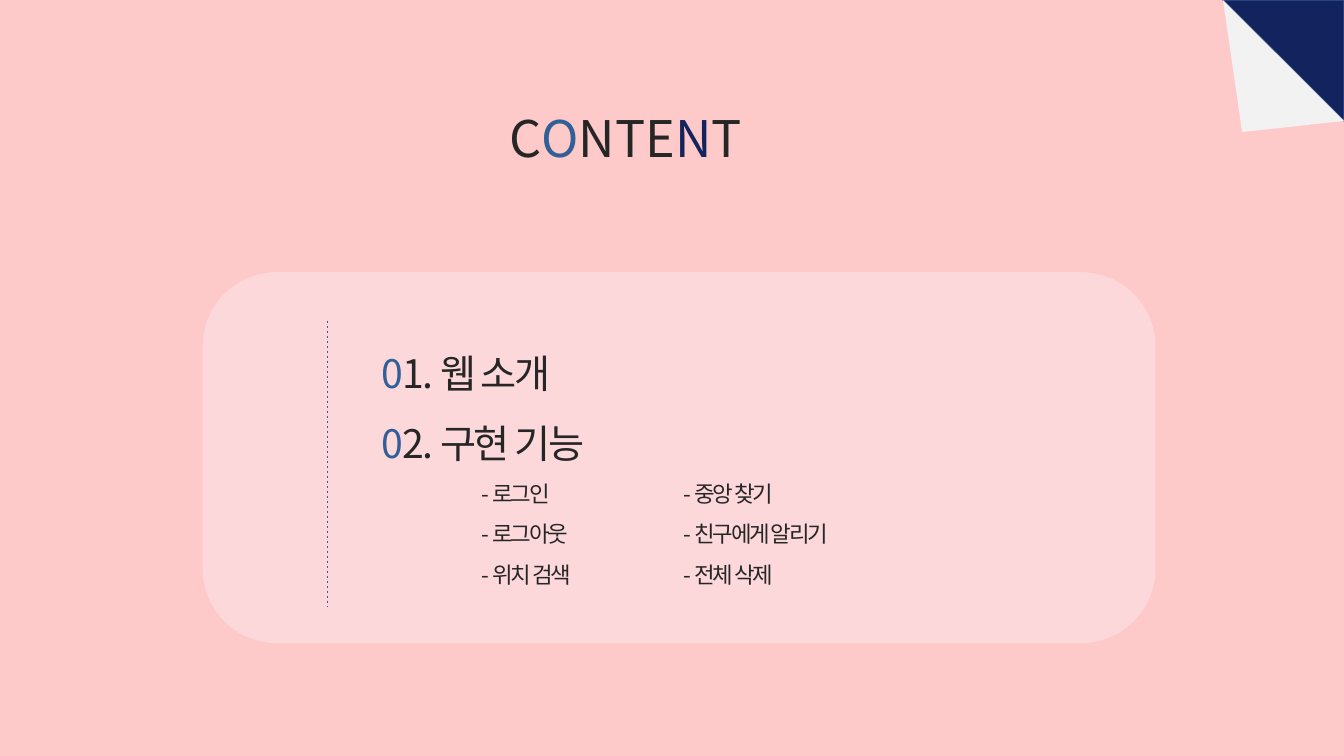
"""Build the contents slide with its folded corner, rounded panel and outline."""
import dataclasses

import lxml.etree
import pptx
import pptx.dml.color
import pptx.enum.dml
import pptx.enum.shapes
import pptx.enum.text
import pptx.oxml.ns
import pptx.util

Inches = pptx.util.Inches
FONT = "Noto Sans CJK KR"
INK, BLUE, NAVY = "262626", "315F97", "13235D"


@dataclasses.dataclass(frozen=True)
class Piece:
    text: str
    color: str = INK


@dataclasses.dataclass(frozen=True)
class Line:
    pieces: tuple[Piece, ...]
    size: int


@dataclasses.dataclass(frozen=True)
class Box:
    left: float
    top: float
    width: float
    height: float

    def lengths(self) -> tuple[int, ...]:
        return tuple(Inches(value) for value in dataclasses.astuple(self))


TITLE = Line(
    (Piece("C"), Piece("O", BLUE), Piece("NTE"), Piece("N", NAVY), Piece("T")), 36
)
CHAPTERS = ("1. 웹 소개", "2. 구현 기능")
FEATURES = (("로그인", "중앙 찾기"), ("로그아웃", "친구에게 알리기"), ("위치 검색", "전체 삭제"))
OUTLINE = [Line((Piece("0", BLUE), Piece(chapter)), 28) for chapter in CHAPTERS] + [
    Line((Piece(f"\t- {left}\t\t- {right}"),), 16) for left, right in FEATURES
]


def rgb(color: str) -> pptx.dml.color.RGBColor:
    return pptx.dml.color.RGBColor.from_string(color)


def child(parent, tag: str, **attributes: str):
    element = lxml.etree.SubElement(parent, pptx.oxml.ns.qn(tag))
    for name, value in attributes.items():
        element.set(name, value)
    return element


def paint(shape, color: str, edge: str = "", alpha: int = 100) -> None:
    shape.shadow.inherit = False
    shape.fill.solid()
    shape.fill.fore_color.rgb = rgb(color)
    if alpha < 100:
        solid = shape.fill._xPr.find(pptx.oxml.ns.qn("a:solidFill"))
        child(solid[0], "a:alpha", val=str(alpha * 1000))
    if edge:
        shape.line.color.rgb = rgb(edge)
        shape.line.width = pptx.util.Pt(1)
    else:
        shape.line.fill.background()


def write_line(paragraph, line: Line, spacing: float, tracking: float) -> None:
    properties = paragraph._p.get_or_add_pPr()
    properties.set("marL", "0")
    properties.set("indent", "0")
    properties.set("defTabSz", str(Inches(1)))
    paragraph.line_spacing = spacing
    paragraph.space_before = pptx.util.Pt(0)
    child(properties, "a:buNone")
    for piece in line.pieces:
        run = paragraph.add_run()
        run.text = piece.text
        run.font.size = pptx.util.Pt(line.size)
        run.font.color.rgb = rgb(piece.color)
        run.font.name = FONT
        if tracking:
            run._r.get_or_add_rPr().set("spc", str(round(tracking * 100)))


def fill_placeholder(
    holder, box: Box, lines: list[Line], align, spacing: float = 1, tracking: float = 0
) -> None:
    holder.left, holder.top, holder.width, holder.height = box.lengths()
    frame = holder.text_frame
    frame.word_wrap = True
    frame.auto_size = pptx.enum.text.MSO_AUTO_SIZE.SHAPE_TO_FIT_TEXT
    frame.vertical_anchor = pptx.enum.text.MSO_ANCHOR.TOP
    for index, line in enumerate(lines):
        paragraph = frame.add_paragraph() if index else frame.paragraphs[0]
        paragraph.alignment = align
        write_line(paragraph, line, spacing, tracking)


def draw_folded_corner(shapes) -> None:
    corner = shapes.add_shape(
        pptx.enum.shapes.MSO_SHAPE.RIGHT_TRIANGLE, *Box(12.13, 0, 1.2, 1.2).lengths()
    )
    corner.rotation = 180
    paint(corner, NAVY, edge="325491")
    builder = shapes.build_freeform(Inches(12.32), Inches(1.31))
    builder.add_line_segments(
        [(Inches(x), Inches(y)) for x, y in ((13.33, 1.2), (12.13, 0))], close=True
    )
    paint(builder.convert_to_shape(), "F2F2F2")


def draw_panel(shapes) -> None:
    panel = shapes.add_shape(
        pptx.enum.shapes.MSO_SHAPE.ROUNDED_RECTANGLE,
        *Box(2.01, 2.7, 9.45, 3.68).lengths(),
    )
    panel.adjustments[0] = 0.2
    paint(panel, "FBE8EC", alpha=51)
    divider = shapes.add_connector(
        pptx.enum.shapes.MSO_CONNECTOR.STRAIGHT,
        Inches(3.25), Inches(3.18), Inches(3.25), Inches(6.01),
    )
    divider.line.color.rgb = rgb(BLUE)
    divider.line.width = pptx.util.Pt(0.5)
    divider.line.dash_style = pptx.enum.dml.MSO_LINE.DASH
    child(divider._element.spPr, "a:effectLst")


def main() -> None:
    deck = pptx.Presentation()
    deck.slide_width, deck.slide_height = Inches(13.33), Inches(7.5)
    slide = deck.slides.add_slide(deck.slide_layouts[1])
    slide.background.fill.solid()
    slide.background.fill.fore_color.rgb = rgb("FEC9C9")
    heading, outline = slide.placeholders
    draw_folded_corner(slide.shapes)
    draw_panel(slide.shapes)
    slide.shapes._spTree.append(outline._element)
    alignments = pptx.enum.text.PP_ALIGN
    fill_placeholder(heading, Box(4.95, 1.01, 3.63, 0.71), [TITLE], alignments.JUSTIFY)
    fill_placeholder(
        outline, Box(3.68, 3.18, 4.91, 2.69), OUTLINE, alignments.LEFT, 1.5, -1.5
    )
    deck.save("out.pptx")


if __name__ == "__main__":
    main()
